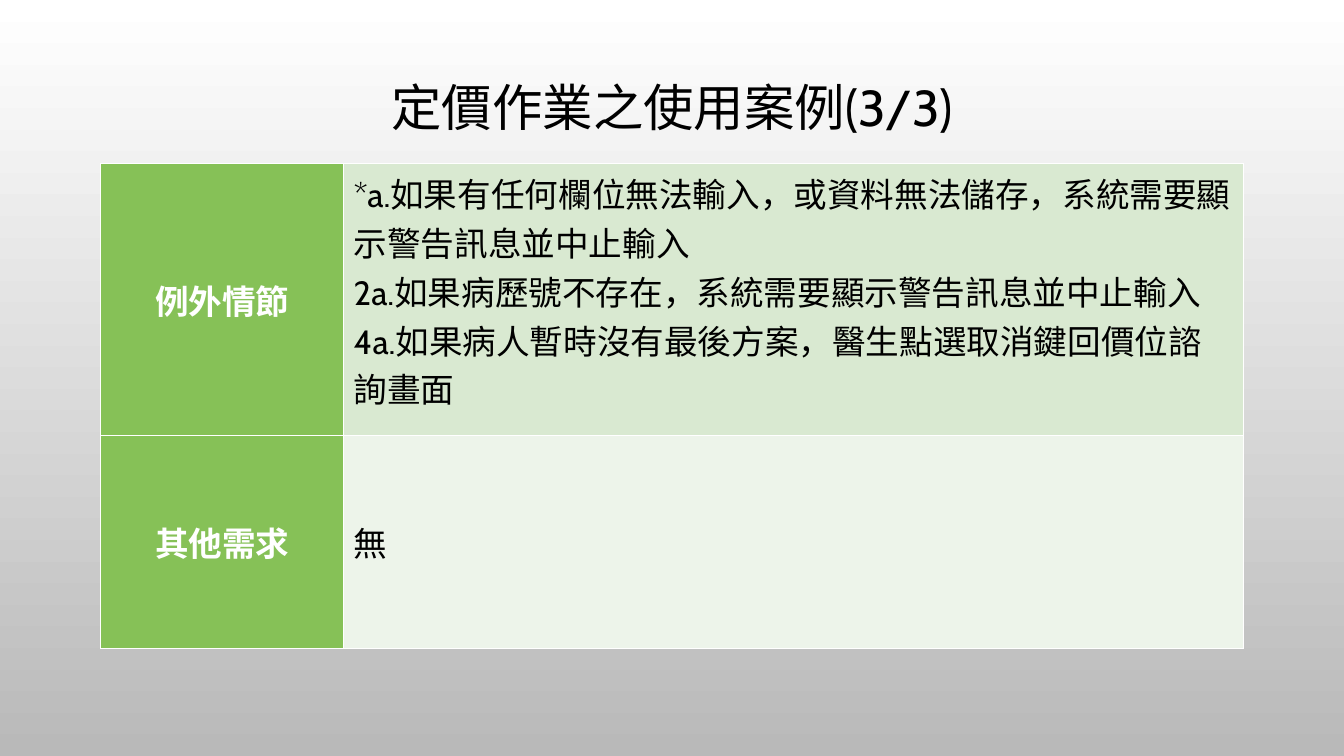
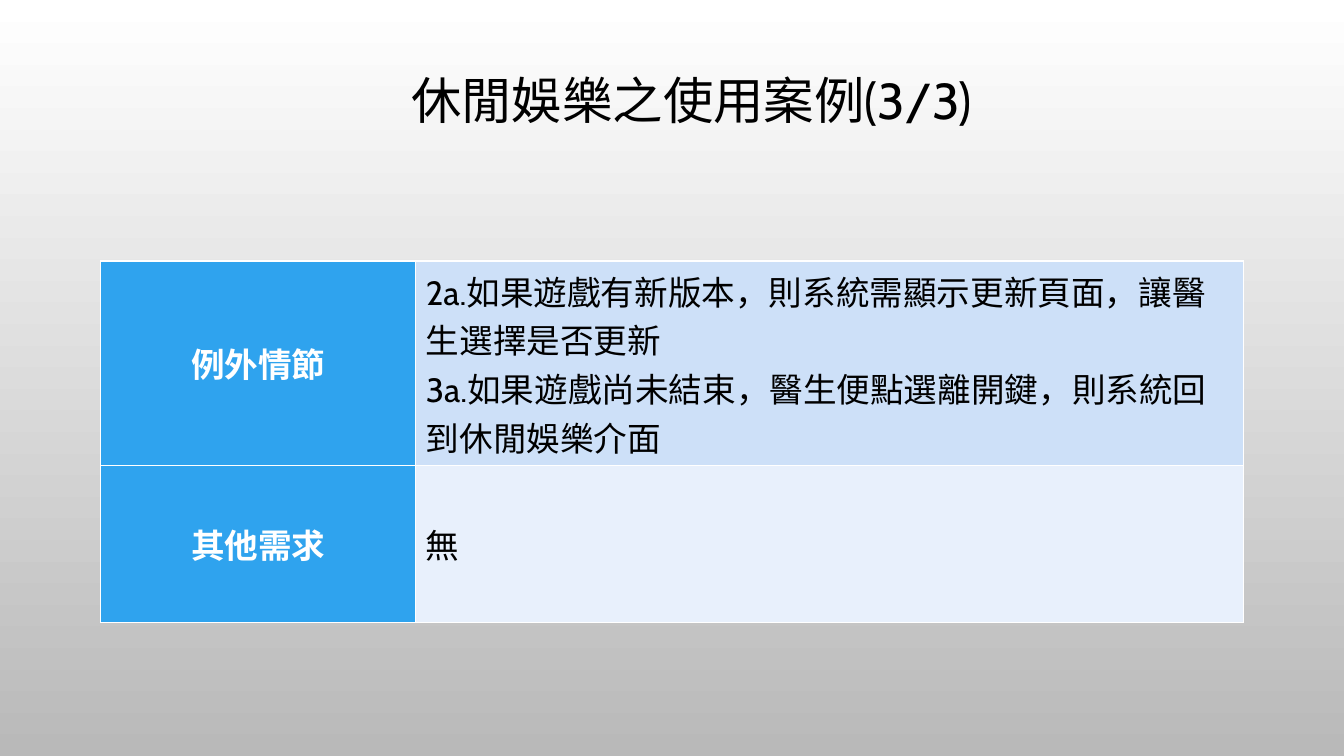
from dataclasses import dataclass

from lxml.etree import SubElement
from pptx import Presentation
from pptx.dml.color import RGBColor
from pptx.enum.text import MSO_ANCHOR as Anchor, PP_ALIGN as Align
from pptx.oxml.ns import qn
from pptx.util import Pt

FONT = "Cabin"
COLORS = {
    "background_top": "FFFFFF",
    "background_bottom": "B9B9B9",
    "text": "000000",
    "label": "FFFFFF",
    "border": "FFFFFF",
    "green": "86C157",
    "green_band": "D9E9D1",
    "green_pale": "EDF4EA",
    "blue": "2FA3EE",
    "blue_band": "CDE0F8",
    "blue_pale": "E8F0FC",
}


@dataclass
class UseCase:
    title: str
    title_box: tuple
    table_box: tuple
    label_width: float
    first_row_height: float
    theme: str
    exceptions: list


USE_CASES = [
    UseCase(
        title="定價作業之使用案例(3/3)",
        title_box=(72, 16, 816, 126),
        table_box=(72, 117, 816, 346),
        label_width=173.5,
        first_row_height=194,
        theme="green",
        exceptions=[
            "*a.如果有任何欄位無法輸入，或資料無法儲存，系統需要顯示警告訊息並中止輸入",
            "2a.如果病歷號不存在，系統需要顯示警告訊息並中止輸入",
            "4a.如果病人暫時沒有最後方案，醫生點選取消鍵回價位諮詢畫面",
        ],
    ),
    UseCase(
        title="休閒娛樂之使用案例(3/3)",
        title_box=(86, 11, 816, 126),
        table_box=(72, 186.5, 816, 258),
        label_width=225,
        first_row_height=146,
        theme="blue",
        exceptions=[
            "2a.如果遊戲有新版本，則系統需顯示更新頁面，讓醫生選擇是否更新",
            "3a.如果遊戲尚未結束，醫生便點選離開鍵，則系統回到休閒娛樂介面",
        ],
    ),
]


def rgb(name):
    return RGBColor.from_string(COLORS[name])


def write_text(text_frame, text, size, color, bold=False, align=Align.LEFT):
    text_frame.text = text
    text_frame.word_wrap = True
    for paragraph in text_frame.paragraphs:
        paragraph.alignment = align
        for run in paragraph.runs:
            run.font.name = FONT
            run.font.size = Pt(size)
            run.font.bold = bold
            run.font.color.rgb = rgb(color)


def paint_background(slide):
    fill = slide.background.fill
    fill.gradient()
    fill.gradient_angle = 270
    names = ("background_top", "background_bottom")
    for position, (stop, name) in enumerate(zip(fill.gradient_stops, names)):
        stop.position = position
        stop.color.rgb = rgb(name)


def add_title(slide, box, text):
    text_frame = slide.shapes.add_textbox(*map(Pt, box)).text_frame
    write_text(text_frame, text, 36, "text", align=Align.CENTER)
    text_frame.vertical_anchor = Anchor.MIDDLE
    text_frame.paragraphs[0].line_spacing = 0.9


def add_borders(cell):
    properties = cell._tc.get_or_add_tcPr()
    for index, side in enumerate(("lnL", "lnR", "lnT", "lnB")):
        line = properties.makeelement(qn(f"a:{side}"), {"w": str(Pt(1))})
        fill = SubElement(line, qn("a:solidFill"))
        SubElement(fill, qn("a:srgbClr"), val=COLORS["border"])
        properties.insert(index, line)


def style_cell(cell, fill, anchor):
    cell.vertical_anchor = anchor
    cell.fill.solid()
    cell.fill.fore_color.rgb = rgb(fill)
    add_borders(cell)


def add_use_case_table(slide, box, use_case):
    left, top, width, height = box
    theme = use_case.theme
    rows = [
        ("例外情節", "\n".join(use_case.exceptions), f"{theme}_band", Anchor.TOP),
        ("其他需求", "無", f"{theme}_pale", Anchor.MIDDLE),
    ]
    table = slide.shapes.add_table(len(rows), 2, *map(Pt, box)).table
    table.first_row = table.horz_banding = False
    table.columns[0].width = Pt(use_case.label_width)
    table.columns[1].width = Pt(width - use_case.label_width)
    table.rows[0].height = Pt(use_case.first_row_height)
    table.rows[1].height = Pt(height - use_case.first_row_height)
    for row, (label, content, fill, anchor) in zip(table.rows, rows):
        label_cell, content_cell = row.cells
        write_text(label_cell.text_frame, label, 24, "label", True, Align.CENTER)
        style_cell(label_cell, theme, Anchor.MIDDLE)
        write_text(content_cell.text_frame, content, 24, "text")
        style_cell(content_cell, fill, anchor)


def add_use_case_slide(presentation, use_case):
    slide = presentation.slides.add_slide(presentation.slide_layouts[6])
    paint_background(slide)
    add_title(slide, use_case.title_box, use_case.title)
    add_use_case_table(slide, use_case.table_box, use_case)


def main():
    presentation = Presentation()
    presentation.slide_width = Pt(960)
    presentation.slide_height = Pt(540)
    for use_case in USE_CASES:
        add_use_case_slide(presentation, use_case)
    presentation.save("out.pptx")


if __name__ == "__main__":
    main()
